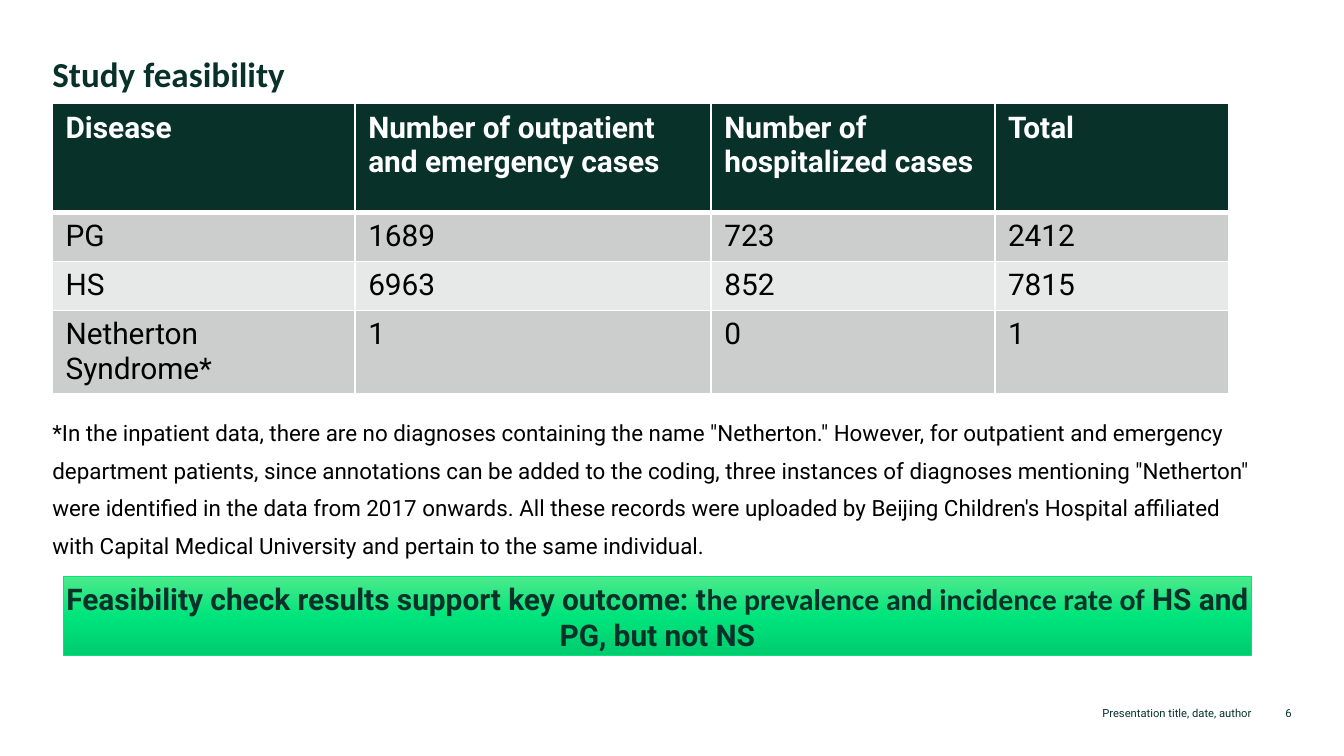
from lxml.etree import SubElement
from pptx import Presentation
from pptx.dml.color import RGBColor
from pptx.enum.shapes import MSO_SHAPE
from pptx.enum.text import MSO_ANCHOR, MSO_AUTO_SIZE, PP_ALIGN
from pptx.oxml import parse_xml
from pptx.oxml.ns import nsdecls, qn
from pptx.util import Cm, Pt

# Colours
DARK = RGBColor(0x08, 0x31, 0x2A)
BLACK = RGBColor(0, 0, 0)
WHITE = RGBColor(0xFF, 0xFF, 0xFF)
GREY = RGBColor(0xCC, 0xCE, 0xCD)
PALE = RGBColor(0xE7, 0xE8, 0xE8)
GREEN = RGBColor(0x00, 0xE4, 0x7C)
LIGHT = RGBColor(0x4B, 0xEA, 0x8B)
DEEP = RGBColor(0x00, 0xCB, 0x6E)

# Content
TITLE = "Study feasibility"
ROWS = [
    ("Disease", "Number of outpatient and emergency cases",
     "Number of hospitalized cases", "Total"),
    ("PG", "1689", "723", "2412"),
    ("HS", "6963", "852", "7815"),
    ("Netherton Syndrome*", "1", "0", "1"),
]
NOTE = (
    '*In the inpatient data, there are no diagnoses containing the name "Netherton." '
    "However, for outpatient and emergency department patients, since annotations can "
    'be added to the coding, three instances of diagnoses mentioning "Netherton" were '
    "identified in the data from 2017 onwards. All these records were uploaded by "
    "Beijing Children's Hospital affiliated with Capital Medical University and pertain "
    "to the same individual."
)
RESULT = [
    ("Feasibility check results support key outcome: t", "Roboto"),
    ("he prevalence and incidence rate of ", "Calibri"),
    ("HS and PG, but not NS", "Roboto"),
]
FOOTER = "Presentation title, date, author"
PAGE = "6"

# Layout in centimetres
LEFT = 0.99
WIDTHS = (5.72, 6.73, 5.36, 4.42)
HEIGHTS = (2.05, 0.93, 0.93, 1.55)
FOOT_Y, FOOT_H = 13, 0.61


def write(frame, text, font="Roboto", size=16, color=DARK, bold=False,
          align=PP_ALIGN.LEFT, anchor=MSO_ANCHOR.TOP, inset=0,
          line=None, after=None):
    """Put text, or a list of (text, font) runs, into a text frame."""
    frame.word_wrap = True
    frame.auto_size = MSO_AUTO_SIZE.NONE
    frame.vertical_anchor = anchor
    frame.margin_left = frame.margin_right = Cm(inset)
    frame.margin_top = frame.margin_bottom = Cm(inset / 2)
    para = frame.paragraphs[0]
    para.alignment = align
    if line:
        para.line_spacing = line
    if after:
        para.space_after = Pt(after)
    for part, name in [(text, font)] if isinstance(text, str) else text:
        run = para.add_run()
        run.text = part
        run.font.name = name
        run.font.size = Pt(size)
        run.font.bold = bold
        run.font.color.rgb = color


def add_text(slide, box, text, **form):
    shape = slide.shapes.add_textbox(*map(Cm, box))
    write(shape.text_frame, text, **form)


def set_edges(cell, top, base):
    """Draw white borders, with the top and bottom widths in points."""
    props = cell._tc.get_or_add_tcPr()
    edges = {"lnL": 1, "lnR": 1, "lnT": top, "lnB": base}
    for spot, (tag, width) in enumerate(edges.items()):
        props.insert(spot, parse_xml(
            f'<a:{tag} {nsdecls("a")} w="{Pt(width)}"><a:solidFill>'
            f'<a:srgbClr val="{WHITE}"/></a:solidFill></a:{tag}>'))


def add_cases(slide):
    size = map(Cm, (LEFT, 1.96, sum(WIDTHS), sum(HEIGHTS)))
    table = slide.shapes.add_table(len(ROWS), len(WIDTHS), *size).table
    for col, width in zip(table.columns, WIDTHS):
        col.width = Cm(width)
    for r, (row, height) in enumerate(zip(ROWS, HEIGHTS)):
        table.rows[r].height = Cm(height)
        head = r == 0
        for c, text in enumerate(row):
            cell = table.cell(r, c)
            cell.fill.solid()
            cell.fill.fore_color.rgb = DARK if head else GREY if r % 2 else PALE
            set_edges(cell, 3 if r == 1 else 1, 3 if head else 1)
            cell.margin_left = cell.margin_right = Cm(0.25)
            cell.margin_top = cell.margin_bottom = Cm(0.13)
            cell.vertical_anchor = MSO_ANCHOR.TOP
            para = cell.text_frame.paragraphs[0]
            run = para.add_run()
            run.text = text
            run.font.name, run.font.size = "Roboto", Pt(16)
            run.font.bold = head
            run.font.color.rgb = WHITE if head else BLACK


def add_banner(slide):
    bar = slide.shapes.add_shape(
        MSO_SHAPE.RECTANGLE, *map(Cm, (1.2, 10.9, 22.45, 1.5)))
    bar.shadow.inherit = False
    bar.fill.gradient()
    bar.fill.gradient_angle = 270
    stops = bar._element.spPr.find(qn("a:gradFill")).find(qn("a:gsLst"))
    for stop in list(stops):
        stops.remove(stop)
    for pos, color in ((0, LIGHT), (50, GREEN), (100, DEEP)):
        stop = SubElement(stops, qn("a:gs"), pos=str(pos * 1000))
        SubElement(stop, qn("a:srgbClr"), val=str(color))
    bar.line.color.rgb = GREEN
    bar.line.width = Pt(0.5)
    write(bar.text_frame, RESULT, bold=True, align=PP_ALIGN.CENTER,
          anchor=MSO_ANCHOR.MIDDLE)


def main():
    deck = Presentation()
    deck.slide_width, deck.slide_height = Cm(25.4), Cm(14.29)
    slide = deck.slides.add_slide(deck.slide_layouts[5])

    # Title
    title = slide.shapes.title
    title.left, title.top, title.width, title.height = map(
        Cm, (LEFT, 0.99, 23.39, 1.5))
    write(title.text_frame, TITLE, font="Calibri", size=18.8, bold=True)

    # Case counts, footnote and conclusion
    add_cases(slide)
    add_text(slide, (LEFT, 7.72, 22.66, 2.13), NOTE, size=12, color=BLACK, line=1.4)
    add_banner(slide)

    # Footer and page number
    foot = dict(size=6, align=PP_ALIGN.RIGHT, anchor=MSO_ANCHOR.BOTTOM)
    add_text(slide, (13.16, FOOT_Y, 10.49, FOOT_H), FOOTER, after=2.2, **foot)
    add_text(slide, (23.8, FOOT_Y, 0.61, FOOT_H), PAGE, **foot)

    deck.save("out.pptx")


if __name__ == "__main__":
    main()
